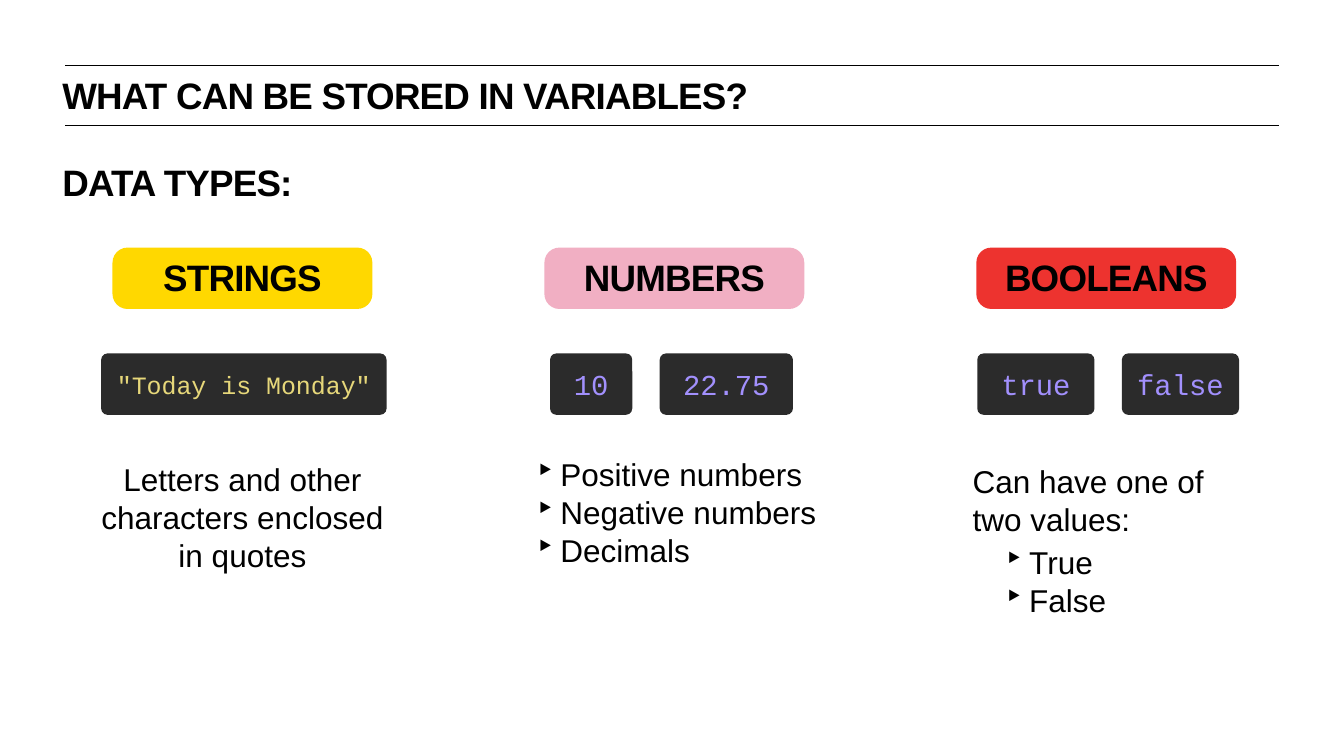
import pptx
import pptx.dml.color
import pptx.enum.shapes
import pptx.enum.text
import pptx.oxml.ns
import pptx.util
from lxml import etree
from pptx.util import Inches

ALIGN = pptx.enum.text.PP_ALIGN
ANCHOR = pptx.enum.text.MSO_ANCHOR
BLACK, DARK, VIOLET, KHAKI = "000000", "2B2B2B", "A290FD", "E6D77A"
HEADING = {"size": 28, "bold": True, "leading": 32, "spacing": -0.6}
CODE_TOP, BOX_HEIGHT = 3.74, 0.65


def rgb(value):
    return pptx.dml.color.RGBColor.from_string(value)


def write(sp, text, size=24, font="Arial", color=BLACK, bold=False, align=ALIGN.LEFT,
          anchor=ANCHOR.MIDDLE, inset=0.06, leading=None, spacing=None, bullet=None):
    """Fill a shape with text, one paragraph per line, in a single format."""
    tf = sp.text_frame
    tf.word_wrap = True
    tf.auto_size = pptx.enum.text.MSO_AUTO_SIZE.NONE
    tf.vertical_anchor = anchor
    tf.margin_left = tf.margin_right = tf.margin_top = tf.margin_bottom = Inches(inset)
    for i, line in enumerate(text.split("\n")):
        p = tf.add_paragraph() if i else tf.paragraphs[0]
        p.alignment = align
        if leading:
            p.line_spacing = pptx.util.Pt(leading)
        if bullet:
            add_bullet(p, bullet)
        r = p.add_run()
        r.text = line
        r.font.size = pptx.util.Pt(size)
        r.font.name = font
        r.font.bold = bold
        r.font.color.rgb = rgb(color)
        if spacing:
            r._r.get_or_add_rPr().set("spc", str(round(spacing * 100)))


def add_bullet(p, char):
    pPr = p._p.get_or_add_pPr()
    pPr.set("marL", str(Inches(0.26)))
    pPr.set("indent", str(-Inches(0.26)))
    etree.SubElement(pPr, pptx.oxml.ns.qn("a:buChar")).set("char", char)


def add_text(s, text, left, top, width, height, **fmt):
    sp = s.shapes.add_textbox(Inches(left), Inches(top), Inches(width), Inches(height))
    write(sp, text, **fmt)


def add_box(s, text, left, top, width, fill, corner, **fmt):
    sp = s.shapes.add_shape(pptx.enum.shapes.MSO_SHAPE.ROUNDED_RECTANGLE,
                            Inches(left), Inches(top), Inches(width), Inches(BOX_HEIGHT))
    sp.adjustments[0] = corner
    sp.shadow.inherit = False
    sp.fill.solid()
    sp.fill.fore_color.rgb = rgb(fill)
    sp.line.fill.background()
    write(sp, text, align=ALIGN.CENTER, **fmt)


def add_rule(s, top):
    line = s.shapes.add_connector(pptx.enum.shapes.MSO_CONNECTOR.STRAIGHT,
                                  Inches(0.69), Inches(top), Inches(13.53), Inches(top))
    line.line.color.rgb = rgb(BLACK)
    line.line.width = pptx.util.Pt(1)
    etree.SubElement(line._element.spPr, pptx.oxml.ns.qn("a:effectLst"))


def add_title(s, text):
    sp = s.shapes.title
    sp.left, sp.top, sp.width, sp.height = map(Inches, (0.66, 0.79, 8.44, 0.44))
    write(sp, text, anchor=ANCHOR.TOP, inset=0, **HEADING)


def main():
    prs = pptx.Presentation()
    prs.slide_width, prs.slide_height = Inches(14.22), Inches(7.99)
    s = prs.slides.add_slide(prs.slide_layouts[5])

    for top in (0.69, 1.33):
        add_rule(s, top)
    add_title(s, "WHAT CAN BE STORED IN VARIABLES?")
    add_text(s, "DATA TYPES:", 0.66, 1.71, 8.44, 0.44, anchor=ANCHOR.TOP, inset=0, **HEADING)

    types = [("STRINGS", "FFD800"), ("NUMBERS", "F1AFC3"), ("BOOLEANS", "ED332F")]
    for i, (name, fill) in enumerate(types):
        add_box(s, name, 1.19 + 4.57 * i, 2.62, 2.75, fill, 0.245, **HEADING)

    examples = [
        ('"Today is Monday"', 1.07, 3.02, 19, KHAKI),
        ("10", 5.82, 0.87, 22, VIOLET),
        ("22.75", 6.98, 1.41, 22, VIOLET),
        ("true", 10.34, 1.24, 22, VIOLET),
        ("false", 11.87, 1.24, 22, VIOLET),
    ]
    for code, left, width, size, color in examples:
        add_box(s, code, left, CODE_TOP, width, DARK, 0.103,
                size=size, font="Courier New", color=color)

    add_text(s, "Letters and other characters enclosed in quotes",
             0.86, 4.81, 3.41, 1.32, align=ALIGN.CENTER)
    add_text(s, "Positive numbers\nNegative numbers\nDecimals",
             5.61, 4.76, 3.19, 1.32, bullet="‣")
    add_text(s, "Can have one of two values:", 10.23, 4.83, 3.02, 0.92)
    add_text(s, "True\nFalse", 10.57, 5.69, 1.2, 0.92, bullet="‣")

    prs.save("out.pptx")


if __name__ == "__main__":
    main()
